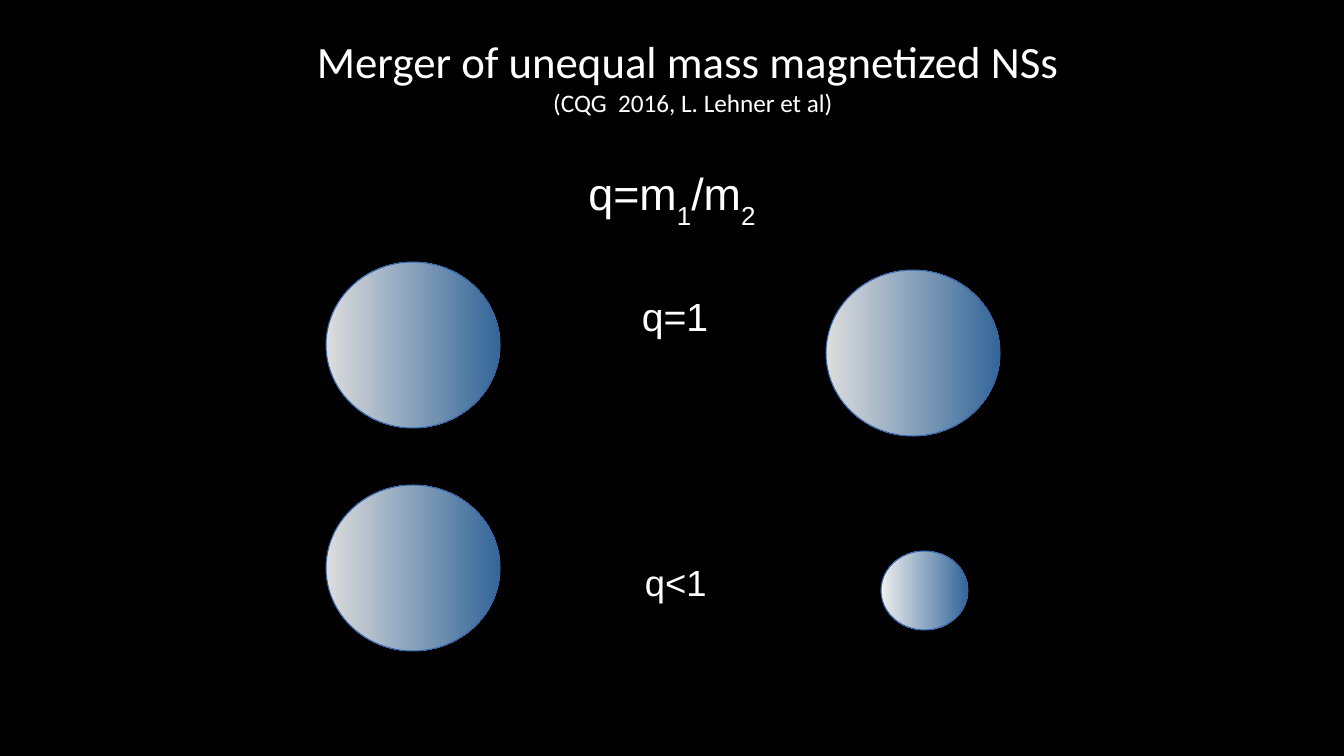
from pptx import Presentation
from pptx import util as u
from pptx.dml.color import RGBColor
from pptx.enum import shapes, text

PX = 914400 / 100.8
HUES = {"back": "000000", "ink": "FFFFFF", "rim": "3465AF",
        "light": "DDDDDD", "pale": "EEEEEE", "deep": "336699"}


def px(n):
    return u.Emu(round(n * PX))


def hue(name):
    return RGBColor.from_string(HUES[name])


class Deck:
    def __init__(self, wide, high):
        self.prs = Presentation()
        self.prs.slide_width, self.prs.slide_height = px(wide), px(high)
        self.slide = self.prs.slides.add_slide(self.prs.slide_layouts[5])
        fill = self.slide.background.fill
        fill.solid()
        fill.fore_color.rgb = hue("back")

    def style(self, run, size, font):
        run.font.size = u.Pt(size)
        run.font.name = font
        run.font.color.rgb = hue("ink")

    def title(self, box, lines, sizes):
        head = self.slide.shapes.title
        head.left, head.top, head.width, head.height = map(px, box)
        frame = head.text_frame
        frame.text = "\n".join(lines)
        frame.word_wrap = True
        frame.auto_size = text.MSO_AUTO_SIZE.NONE
        frame.vertical_anchor = text.MSO_ANCHOR.MIDDLE
        for para, size in zip(frame.paragraphs, sizes):
            para.alignment = text.PP_ALIGN.CENTER
            self.style(para.runs[0], size, "Calibri")

    def label(self, box, parts, size, align=text.PP_ALIGN.LEFT):
        frame = self.slide.shapes.add_textbox(*map(px, box)).text_frame
        frame.word_wrap = True
        para = frame.paragraphs[0]
        para.alignment = align
        for spot, part in enumerate(parts):
            run = para.add_run()
            run.text = part
            self.style(run, size, "Arial")
            if spot % 2:
                run.font._element.set("baseline", "-33000")

    def star(self, left, top, wide, high, glow="light"):
        ball = self.slide.shapes.add_shape(
            shapes.MSO_SHAPE.OVAL, px(left), px(top), px(wide), px(high))
        ball.shadow.inherit = False
        ball.fill.gradient()
        ball.fill.gradient_angle = 0
        for stop, name, place in zip(ball.fill.gradient_stops, (glow, "deep"), (0, 1)):
            stop.color.rgb = hue(name)
            stop.position = place
        ball.line.color.rgb = hue("rim")
        ball.line.width = u.Pt(0.75)


def main():
    deck = Deck(1344, 756)
    deck.title((163, 33, 1060, 86),
               ["Merger of unequal mass magnetized NSs ",
                "(CQG  2016, L. Lehner et al)"], (32, 18))
    deck.label((223, 161, 898, 81), ["q=m", "1", "/m", "2"], 32,
               text.PP_ALIGN.CENTER)
    deck.label((632, 287, 100, 53), ["q=1"], 28)
    deck.label((635, 555, 100, 50), ["q<1"], 26)
    for left, top in ((326, 262), (826, 270), (326, 485)):
        deck.star(left, top, 174, 166)
    deck.star(881, 551, 87, 79, "pale")
    deck.prs.save("out.pptx")


if __name__ == "__main__":
    main()
